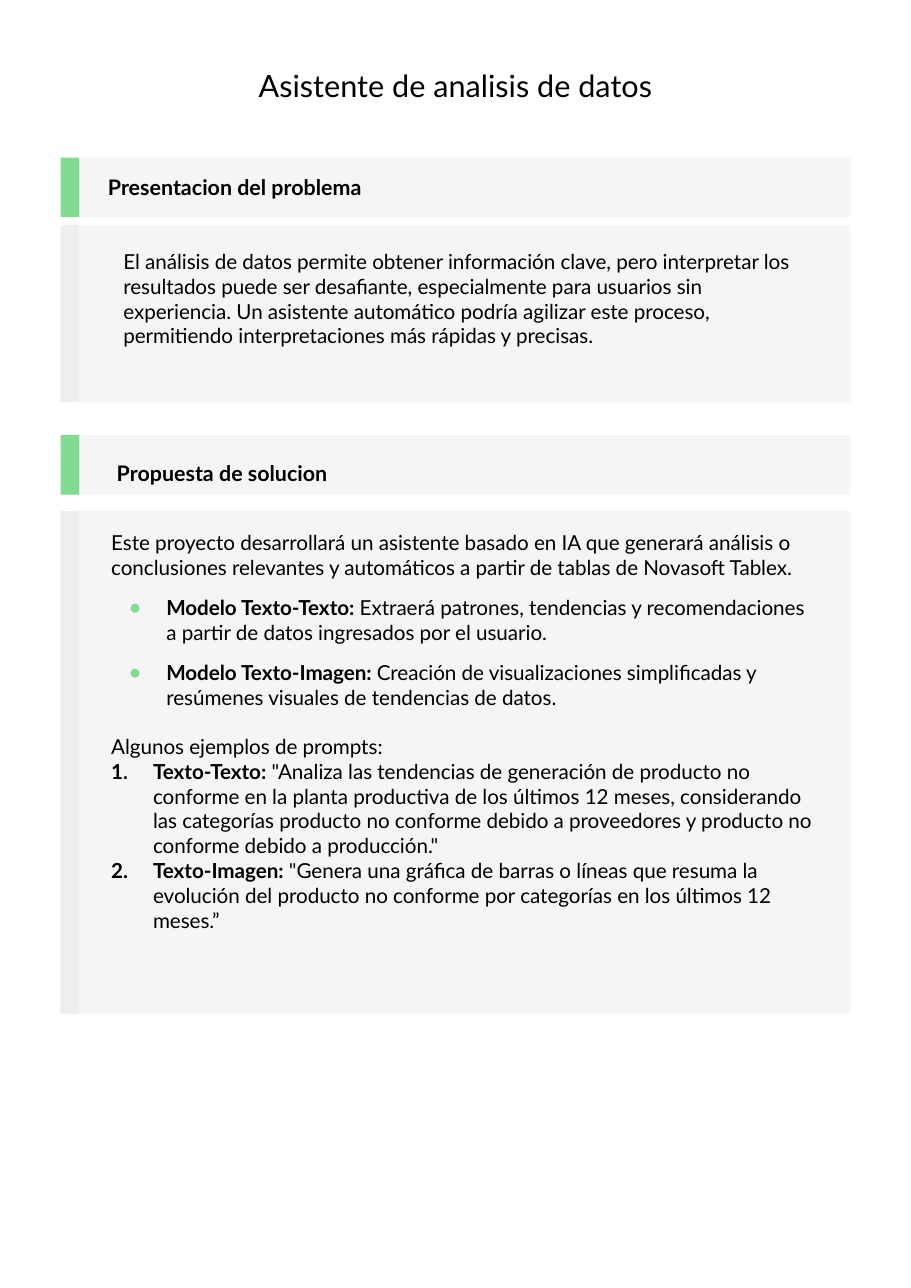
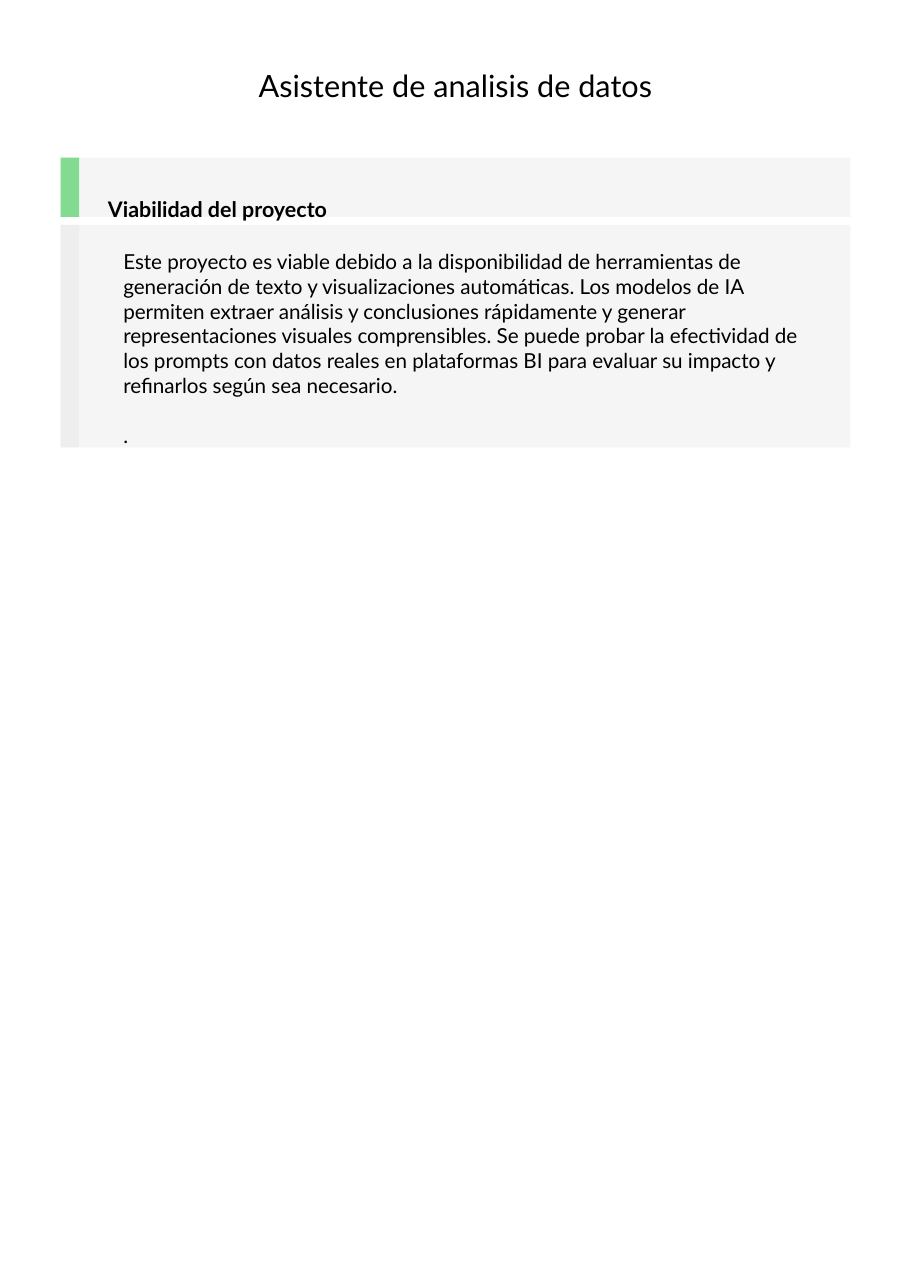
import pptx
import pptx.dml.color
import pptx.enum.shapes
import pptx.enum.text
import pptx.oxml
import pptx.oxml.ns
import pptx.util
from dataclasses import dataclass
from typing import Any

Inches = pptx.util.Inches
ALIGN = pptx.enum.text.PP_ALIGN
ANCHOR = pptx.enum.text.MSO_ANCHOR

FONT = "Lato"
BLACK = "000000"
GREEN = "82DB91"
PALE = "F5F5F5"
GREY = "EEEEEE"
LEFT, WIDTH = 0.55, 7.17
BAR = 0.17
HEAD = 0.54
SIZE = 13.5
BLANK = 16.2
TITLE = "Asistente de analisis de datos"


@dataclass
class Para:
    text: str
    lead: str = ""
    before: float = 0
    margin: float = 0
    hang: float = 0
    mark: str = "<a:buNone {ns}/>"
    tint: str = ""


@dataclass
class Box:
    left: float
    top: float
    width: float
    height: float


@dataclass
class Panel:
    title: str
    top: float
    label: Box
    start: float
    height: float
    body: Box
    paras: list[Para]


def bullet(lead: str, text: str) -> Para:
    return Para(text, lead, 10, 0.5, -0.34, '<a:buChar {ns} char="●"/>', GREEN)


def number(lead: str, text: str) -> Para:
    mark = '<a:buAutoNum {ns} type="arabicPeriod"/>'
    return Para(text, lead, 0, 0.38, -0.38, mark, BLACK)


def color(code: str) -> pptx.dml.color.RGBColor:
    return pptx.dml.color.RGBColor.from_string(code)


def place(shape: Any, box: Box) -> None:
    shape.left, shape.top = Inches(box.left), Inches(box.top)
    shape.width, shape.height = Inches(box.width), Inches(box.height)


def indent(line: Any, para: Para) -> None:
    props = line._p.get_or_add_pPr()
    props.set("marL", str(Inches(para.margin)))
    props.set("indent", str(Inches(para.hang)))
    names = pptx.oxml.ns.nsdecls("a")
    if para.tint:
        tint = f'<a:buClr {names}><a:srgbClr val="{para.tint}"/></a:buClr>'
        props.append(pptx.oxml.parse_xml(tint))
    props.append(pptx.oxml.parse_xml(para.mark.format(ns=names)))


def write(shape: Any, paras: list[Para], *, size: float = SIZE,
          bold: bool = False, align: Any = ALIGN.LEFT,
          anchor: Any = ANCHOR.TOP) -> None:
    frame = shape.text_frame
    frame.word_wrap = True
    frame.auto_size = pptx.enum.text.MSO_AUTO_SIZE.NONE
    frame.vertical_anchor = anchor
    frame.margin_left = frame.margin_right = Inches(0.1)
    frame.margin_top = frame.margin_bottom = Inches(0.1)
    for i, para in enumerate(paras):
        line = frame.add_paragraph() if i else frame.paragraphs[0]
        line.alignment = align
        line.space_before = pptx.util.Pt(para.before)
        indent(line, para)
        for text, heavy in ((para.lead, True), (para.text, bold)):
            if text:
                run = line.add_run()
                run.text = text
                run.font.name = FONT
                run.font.size = pptx.util.Pt(size)
                run.font.bold = heavy
                run.font.color.rgb = color(BLACK)


def band(slide: Any, top: float, height: float, edge: str) -> None:
    group = slide.shapes.add_group_shape()
    for width, fill in ((WIDTH, PALE), (BAR, edge)):
        rect = group.shapes.add_shape(
            pptx.enum.shapes.MSO_SHAPE.RECTANGLE, Inches(LEFT), Inches(top),
            Inches(width), Inches(height))
        rect.shadow.inherit = False
        rect.fill.solid()
        rect.fill.fore_color.rgb = color(fill)
        rect.line.fill.background()


def build(deck: Any, panels: list[Panel]) -> None:
    slide = deck.slides.add_slide(deck.slide_layouts.get_by_name("Comparison"))
    title, *slots = list(slide.placeholders)
    place(title, Box(LEFT, 0.51, WIDTH, HEAD))
    write(title, [Para(TITLE)], size=20, align=ALIGN.CENTER)
    for panel in panels:
        band(slide, panel.top, HEAD, GREEN)
        band(slide, panel.start, panel.height, GREY)
        label, body = slots.pop(0), slots.pop(0)
        place(label, panel.label)
        write(label, [Para(panel.title)], size=14, bold=True,
              anchor=ANCHOR.MIDDLE)
        place(body, panel.body)
        write(body, panel.paras)
        for shape in (label, body):
            slide.shapes.element.append(shape.element)
    for slot in slots:
        slide.shapes.element.remove(slot.element)


PROBLEM = Panel(
    "Presentacion del problema", 1.43, Box(0.88, 1.57, 6.52, 0.25),
    2.04, 1.61, Box(0.86, 2.16, 6.62, 1.11),
    [Para("El análisis de datos permite obtener información clave, pero "
          "interpretar los resultados puede ser desafiante, especialmente "
          "para usuarios sin experiencia. Un asistente automático podría "
          "agilizar este proceso, permitiendo interpretaciones más rápidas "
          "y precisas.", margin=0.16)])

ANSWER = Panel(
    "Propuesta de solucion", 3.95, Box(0.96, 4.05, 6.52, 0.49),
    4.64, 4.56, Box(0.91, 4.71, 6.62, 4.34),
    [Para("Este proyecto desarrollará un asistente basado en IA que generará "
          "análisis o conclusiones relevantes y automáticos a partir de "
          "tablas de Novasoft Tablex."),
     bullet("Modelo Texto-Texto:",
            " Extraerá patrones, tendencias y recomendaciones a partir de "
            "datos ingresados por el usuario."),
     bullet("Modelo Texto-Imagen: ",
            "Creación de visualizaciones simplificadas y resúmenes visuales "
            "de tendencias de datos."),
     Para("Algunos ejemplos de prompts:", before=BLANK),
     number("Texto-Texto:",
            ' "Analiza las tendencias de generación de producto no conforme '
            "en la planta productiva de los últimos 12 meses, considerando "
            "las categorías producto no conforme debido a proveedores y "
            'producto no conforme debido a producción."'),
     number("Texto-Imagen:",
            ' "Genera una gráfica de barras o líneas que resuma la evolución '
            "del producto no conforme por categorías en los últimos 12 "
            "meses.”")])

OUTLOOK = Panel(
    "Viabilidad del proyecto", 1.43, Box(0.88, 1.77, 6.52, 0.25),
    2.04, 2.02, Box(0.86, 2.16, 6.62, 2.02),
    [Para("Este proyecto es viable debido a la disponibilidad de "
          "herramientas de generación de texto y visualizaciones "
          "automáticas. Los modelos de IA permiten extraer análisis y "
          "conclusiones rápidamente y generar representaciones visuales "
          "comprensibles. Se puede probar la efectividad de los prompts con "
          "datos reales en plataformas BI para evaluar su impacto y "
          "refinarlos según sea necesario.", margin=0.16),
     Para(".", before=BLANK, margin=0.16)])


def main() -> None:
    deck = pptx.Presentation()
    deck.slide_width, deck.slide_height = Inches(8.27), Inches(11.69)
    for panels in ([PROBLEM, ANSWER], [OUTLOOK]):
        build(deck, panels)
    deck.save("out.pptx")


if __name__ == "__main__":
    main()
